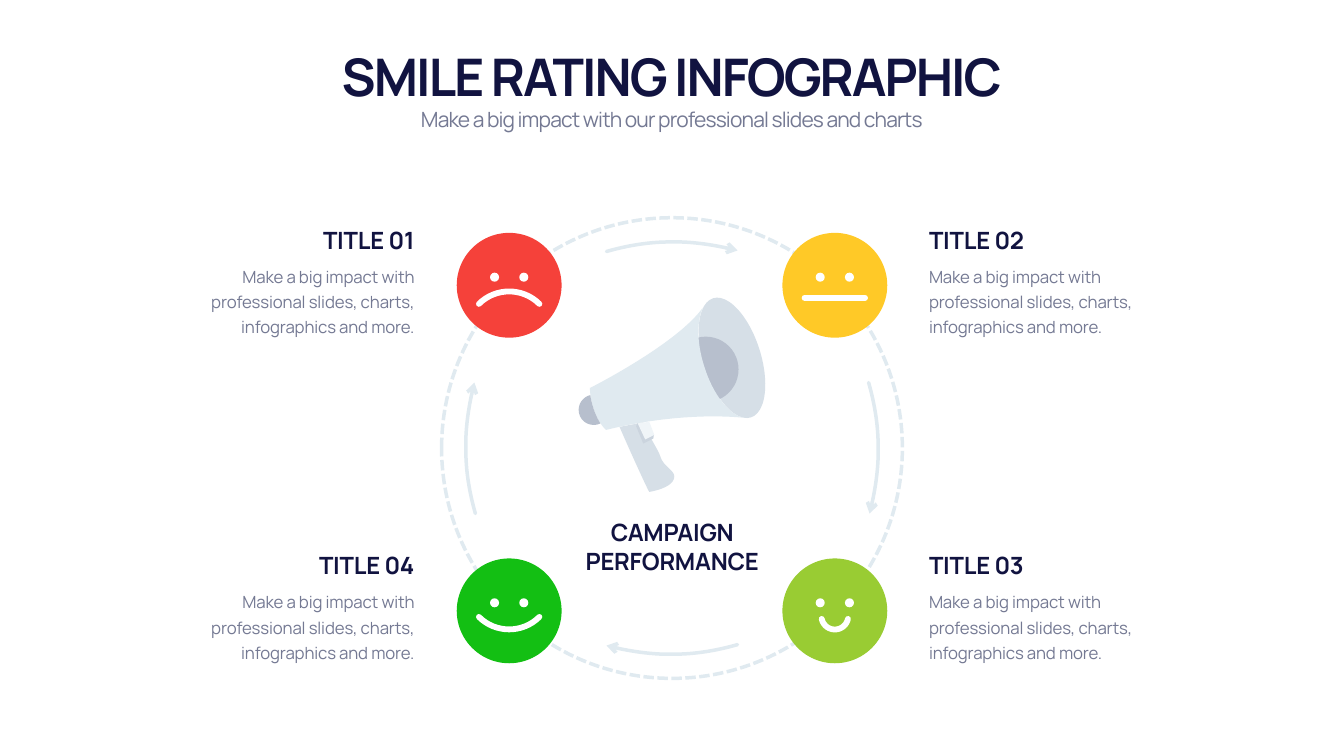
from dataclasses import dataclass

import pptx
import pptx.dml.color
import pptx.enum.dml
import pptx.enum.shapes
import pptx.enum.text
import pptx.oxml
import pptx.oxml.ns
import pptx.util

RGBColor = pptx.dml.color.RGBColor
Align = pptx.enum.text.PP_ALIGN
Anchor = pptx.enum.text.MSO_ANCHOR

NAVY = RGBColor(0x11, 0x13, 0x40)
GREY = RGBColor(0x74, 0x79, 0x93)
WHITE = RGBColor(0xFF, 0xFF, 0xFF)
RED = RGBColor(0xF5, 0x41, 0x3A)
YELLOW = RGBColor(0xFF, 0xC9, 0x27)
LIME = RGBColor(0x99, 0xCC, 0x33)
GREEN = RGBColor(0x13, 0xBF, 0x13)
MIST = RGBColor(0xE0, 0xEA, 0xF0)
MIST_LIGHT = RGBColor(0xF0, 0xF5, 0xF8)
MIST_SHADE = RGBColor(0xD6, 0xDF, 0xE7)
MIST_DARK = RGBColor(0xCB, 0xD4, 0xDE)
MIST_DEEP = RGBColor(0xB7, 0xBF, 0xCD)

EMU_PER_PX = 9144  # 100 px to the inch
CENTER_X, CENTER_Y = 1333, 889
RING_SIZE = 914
FACE_OFFSET, FACE_SIZE = 323, 208
EYE_OFFSET, EYE_RISE, EYE_SIZE = 29, 16, 18
CURVE_STEPS = 16
FONT = "Manrope"
BODY = "Make a big impact with professional slides, charts, infographics and more."

# A path is a start point, then lines (x, y) and cubic curves (x1, y1, x2, y2, x, y).
Path = list[tuple[int, ...]]


@dataclass(frozen=True)
class TextStyle:
    size: int
    color: RGBColor
    spacing: float
    bold: bool = False
    line_points: int | None = None


@dataclass(frozen=True)
class Rating:
    title: str
    column: int  # -1 left, 1 right
    row: int  # -1 top, 1 bottom
    color: RGBColor
    mouth: Path


@dataclass(frozen=True)
class Part:
    color: RGBColor
    outline: Path


TITLE = TextStyle(74, NAVY, -2.9, bold=True)
SUBTITLE = TextStyle(30, GREY, -1.2)
HEADING = TextStyle(34, NAVY, -0.3, bold=True)
DETAIL = TextStyle(24, GREY, -0.2, line_points=36)

RATINGS = [
    Rating("TITLE 01", -1, -1, RED, [(-60, 37), (-27, 4, 27, 4, 60, 37)]),
    Rating("TITLE 02", 1, -1, YELLOW, [(-60, 25), (60, 25)]),
    Rating("TITLE 03", 1, 1, LIME,
           [(-26, 16), (-23, 29, -12, 37, 0, 37), (12, 37, 23, 29, 26, 16)]),
    Rating("TITLE 04", -1, 1, GREEN, [(-60, 12), (-27, 45, 27, 45, 60, 12)]),
]

# Top arrow, measured from the centre of the ring
ARROW = [(-130, -390), (-88, -402, -46, -409, -2, -409), (41, -410, 86, -403, 130, -392)]

HANDLE = Part(MIST_SHADE, [
    (1276, 838), (1287, 866, 1305, 891, 1310, 906), (1317, 929, 1344, 934, 1336, 952),
    (1328, 970, 1288, 976, 1288, 976), (1285, 973, 1239, 871, 1229, 847),
    (1245, 844, 1261, 841, 1276, 838)])
FRONT_PARTS = [
    Part(MIST, [
        (1394, 611), (1382, 636, 1382, 681, 1397, 727), (1414, 783, 1447, 823, 1475, 829),
        (1475, 829, 1359, 814, 1202, 853), (1202, 853, 1173, 828, 1170, 770),
        (1170, 770, 1341, 684, 1394, 611)]),
    Part(MIST_DARK, [(1265, 840), (1297, 863), (1296, 870), (1276, 880), (1262, 846), (1264, 840)]),
    Part(MIST_LIGHT, [(1288, 837), (1298, 863), (1280, 872), (1265, 840),
                      (1272, 839, 1280, 838, 1288, 837)]),
    Part(MIST_DEEP, [
        (1171, 784), (1175, 810, 1184, 829, 1191, 840), (1187, 842, 1183, 843, 1178, 843),
        (1161, 843, 1148, 830, 1148, 813), (1148, 799, 1158, 787, 1171, 784)]),
]


def px(length: float) -> int:
    return round(length * EMU_PER_PX)


def add_circle(shapes, x: int, y: int, width: int, height: int, color: RGBColor):
    """Draw a filled oval centred on (x, y)."""
    shape = shapes.add_shape(pptx.enum.shapes.MSO_SHAPE.OVAL, px(x - width / 2),
                             px(y - height / 2), px(width), px(height))
    shape.shadow.inherit = False
    shape.fill.solid()
    shape.fill.fore_color.rgb = color
    shape.line.fill.background()
    return shape


def flatten(path: Path) -> list[tuple[float, float]]:
    """Turn lines and cubic curves into a list of points."""
    points = [path[0]]
    for step in path[1:]:
        if len(step) == 2:
            points.append(step)
            continue
        corners = [points[-1], step[:2], step[2:4], step[4:]]
        for index in range(1, CURVE_STEPS + 1):
            t = index / CURVE_STEPS
            weights = ((1 - t) ** 3, 3 * t * (1 - t) ** 2, 3 * t * t * (1 - t), t ** 3)
            points.append(tuple(sum(weight * corner[axis] for weight, corner in zip(weights, corners))
                                for axis in (0, 1)))
    return points


def add_outline(shapes, points: list[tuple[float, float]], closed: bool):
    scaled = [(px(x), px(y)) for x, y in points]
    builder = shapes.build_freeform(*scaled[0], scale=1.0)
    builder.add_line_segments(scaled[1:], close=closed)
    shape = builder.convert_to_shape()
    shape.shadow.inherit = False
    return shape


def add_part(shapes, part: Part) -> None:
    shape = add_outline(shapes, flatten(part.outline), closed=True)
    shape.fill.solid()
    shape.fill.fore_color.rgb = part.color
    shape.line.fill.background()


def add_stroke(shapes, points: list[tuple[float, float]], color: RGBColor, width: float,
               arrow: bool = False) -> None:
    shape = add_outline(shapes, points, closed=False)
    shape.fill.background()
    shape.line.color.rgb = color
    shape.line.width = pptx.util.Pt(width)
    line = shape._element.spPr.find(pptx.oxml.ns.qn("a:ln"))
    line.set("cap", "rnd")
    namespace = pptx.oxml.ns.nsdecls("a")
    line.append(pptx.oxml.parse_xml(f"<a:round {namespace}/>"))
    if arrow:
        line.append(pptx.oxml.parse_xml(f'<a:tailEnd {namespace} type="arrow"/>'))


def set_text(shape, text: str, style: TextStyle, align, anchor=Anchor.TOP) -> None:
    frame = shape.text_frame
    frame.text = text
    frame.word_wrap = True
    frame.auto_size = pptx.enum.text.MSO_AUTO_SIZE.NONE
    frame.vertical_anchor = anchor
    paragraph = frame.paragraphs[0]
    paragraph.alignment = align
    if style.line_points:
        paragraph.line_spacing = pptx.util.Pt(style.line_points)
    run = paragraph.runs[0]
    run.font.name = FONT
    run.font.size = pptx.util.Pt(style.size)
    run.font.bold = style.bold
    run.font.color.rgb = style.color
    run._r.get_or_add_rPr().set("spc", str(round(style.spacing * 100)))


def add_text(shapes, box: tuple[int, int, int, int], text: str, style: TextStyle, align,
             anchor=Anchor.TOP) -> None:
    set_text(shapes.add_textbox(*map(px, box)), text, style, align, anchor)


def add_rating(shapes, rating: Rating) -> None:
    x = CENTER_X + rating.column * FACE_OFFSET
    y = CENTER_Y + rating.row * FACE_OFFSET
    add_circle(shapes, x, y, FACE_SIZE, FACE_SIZE, rating.color)
    for side in (-1, 1):
        add_circle(shapes, x + side * EYE_OFFSET, y - EYE_RISE, EYE_SIZE, EYE_SIZE, WHITE)
    add_stroke(shapes, [(x + dx, y + dy) for dx, dy in flatten(rating.mouth)], WHITE, 8.3)

    left, align = (352, Align.RIGHT) if rating.column < 0 else (1833, Align.LEFT)
    add_text(shapes, (left, y - 124, 480, 67), rating.title, HEADING, align, Anchor.BOTTOM)
    add_text(shapes, (left, y - 52, 480, 159), BODY, DETAIL, align)


def add_megaphone(shapes) -> None:
    group = shapes.add_group_shape().shapes
    add_circle(group, 1452, 710, 114, 248, MIST_SHADE).rotation = 342.4
    add_part(group, HANDLE)
    add_circle(group, 1400, 733, 130, 130, MIST_DEEP)
    for part in FRONT_PARTS:
        add_part(group, part)


def main() -> None:
    presentation = pptx.Presentation()
    presentation.slide_width, presentation.slide_height = px(2666), px(1500)
    slide = presentation.slides.add_slide(presentation.slide_layouts[5])
    shapes = slide.shapes

    title = shapes.title
    title.left, title.top, title.width, title.height = map(px, (166, 82, 2333, 135))
    set_text(title, "SMILE RATING INFOGRAPHIC", TITLE, Align.CENTER, Anchor.BOTTOM)
    add_text(shapes, (166, 207, 2333, 61),
             "Make a big impact with our professional slides and charts", SUBTITLE, Align.CENTER)

    ring = add_circle(shapes, CENTER_X, CENTER_Y, RING_SIZE, RING_SIZE, WHITE)
    ring.fill.background()
    ring.line.color.rgb = MIST
    ring.line.width = pptx.util.Pt(5)
    ring.line.dash_style = pptx.enum.dml.MSO_LINE.SQUARE_DOT

    add_megaphone(shapes)
    arrow = flatten(ARROW)
    for rating in RATINGS:
        add_rating(shapes, rating)
        add_stroke(shapes, [(CENTER_X + x, CENTER_Y + y) for x, y in arrow], MIST, 5, arrow=True)
        arrow = [(-y, x) for x, y in arrow]  # quarter turn clockwise
    add_text(shapes, (1131, 1023, 405, 125), "CAMPAIGN PERFORMANCE", HEADING, Align.CENTER)

    presentation.save("out.pptx")


if __name__ == "__main__":
    main()
